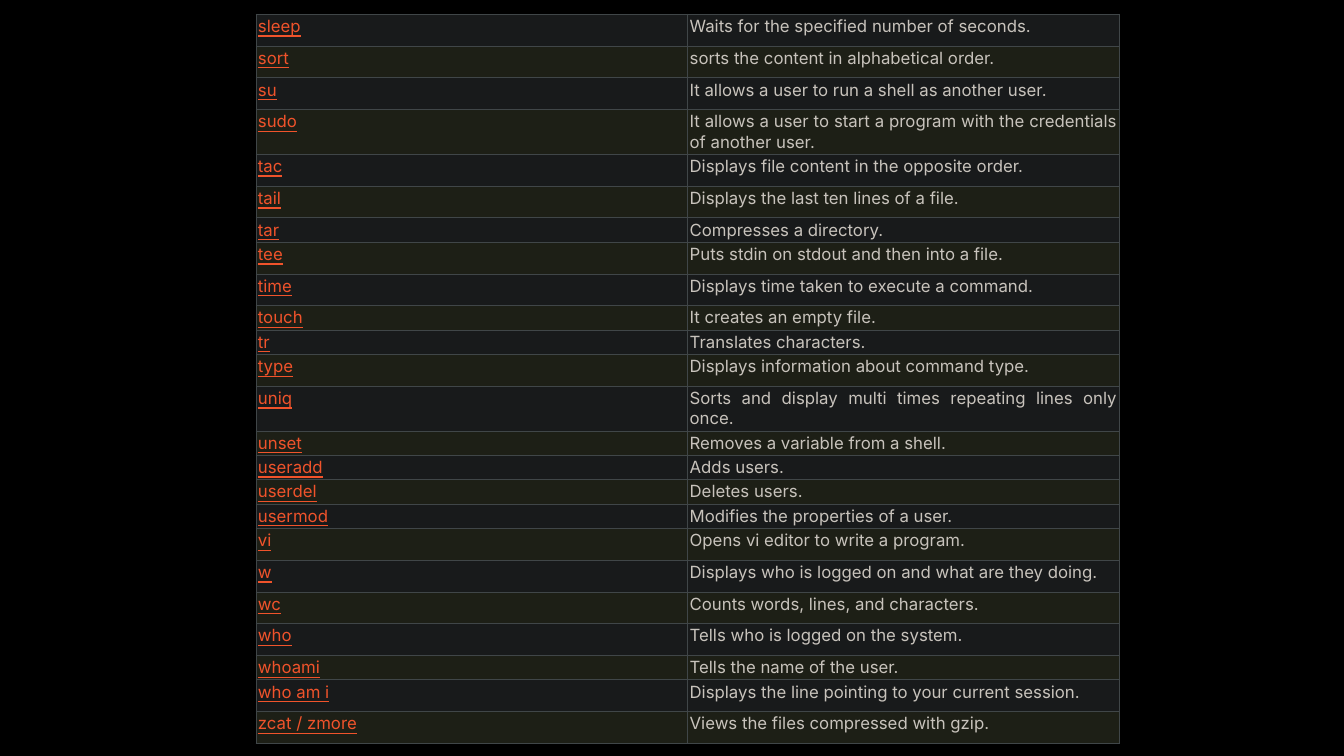
"""Build a slide with a two-column table of shell commands, sleep to zcat."""
from lxml.etree import SubElement
from pptx import Presentation
from pptx.dml.color import RGBColor
from pptx.enum.text import PP_ALIGN
from pptx.oxml.ns import qn
from pptx.util import Cm, Pt

BLACK = RGBColor(0x00, 0x00, 0x00)
ORANGE = RGBColor(0xF0, 0x53, 0x2B)
LIGHT = RGBColor(0xC8, 0xC3, 0xBC)
BORDER = RGBColor(0x40, 0x46, 0x48)
BANDS = (RGBColor(0x18, 0x1A, 0x1B), RGBColor(0x1D, 0x1F, 0x16))

SHORT, TALL, DOUBLE = Cm(0.48), Cm(0.8), Cm(1.13)
COLUMN_WIDTH = Cm(10.88)
MARGIN = Cm(0.05)

COMMANDS = [
    ("sleep", "Waits for the specified number of seconds.", TALL),
    ("sort", "sorts the content in alphabetical order.", TALL),
    ("su", "It allows a user to run a shell as another user.", TALL),
    ("sudo", "It allows a user to start a program with the credentials of another user.", DOUBLE),
    ("tac", "Displays file content in the opposite order.", TALL),
    ("tail", "Displays the last ten lines of a file.", TALL),
    ("tar", "Compresses a directory.", SHORT),
    ("tee", "Puts stdin on stdout and then into a file.", TALL),
    ("time", "Displays time taken to execute a command.", TALL),
    ("touch", "It creates an empty file.", SHORT),
    ("tr", "Translates characters.", SHORT),
    ("type", "Displays information about command type.", TALL),
    ("uniq", "Sorts and display multi times repeating lines only once.", TALL),
    ("unset", "Removes a variable from a shell.", SHORT),
    ("useradd", "Adds users.", SHORT),
    ("userdel", "Deletes users.", SHORT),
    ("usermod", "Modifies the properties of a user.", SHORT),
    ("vi", "Opens vi editor to write a program.", TALL),
    ("w", "Displays who is logged on and what are they doing.", TALL),
    ("wc", "Counts words, lines, and characters.", TALL),
    ("who", "Tells who is logged on the system.", TALL),
    ("whoami", "Tells the name of the user.", SHORT),
    ("who am i", "Displays the line pointing to your current session.", TALL),
    ("zcat / zmore", "Views the files compressed with gzip.", TALL),
]


def add_borders(cell):
    """Draw a thin line on all four sides of a cell."""
    tc_pr = cell._tc.get_or_add_tcPr()
    for side in ("a:lnL", "a:lnR", "a:lnT", "a:lnB"):
        ln = SubElement(tc_pr, qn(side), w=str(Pt(0.6)))
        fill = SubElement(ln, qn("a:solidFill"))
        SubElement(fill, qn("a:srgbClr"), val=str(BORDER))


prs = Presentation()
prs.slide_width, prs.slide_height = Cm(33.87), Cm(19.05)
s = prs.slides.add_slide(prs.slide_layouts[6])
s.background.fill.solid()
s.background.fill.fore_color.rgb = BLACK

total_height = sum(height for _, _, height in COMMANDS)
table = s.shapes.add_table(len(COMMANDS), 2, Cm(6.45), Cm(0.36),
                           2 * COLUMN_WIDTH, total_height).table
table.first_row = False
table.horz_banding = False
for column in table.columns:
    column.width = COLUMN_WIDTH

for i, (command, description, height) in enumerate(COMMANDS):
    table.rows[i].height = height
    for j, (text, color) in enumerate([(command, ORANGE), (description, LIGHT)]):
        cell = table.cell(i, j)
        add_borders(cell)
        cell.fill.solid()
        cell.fill.fore_color.rgb = BANDS[i % 2]
        cell.margin_left = cell.margin_right = MARGIN
        cell.margin_top = cell.margin_bottom = MARGIN
        p = cell.text_frame.paragraphs[0]
        p.alignment = PP_ALIGN.JUSTIFY
        r = p.add_run()
        r.text = text
        r.font.name = "Inter"
        r.font.size = Pt(12)
        r.font.color.rgb = color
        r.font.underline = j == 0

prs.save("out.pptx")
